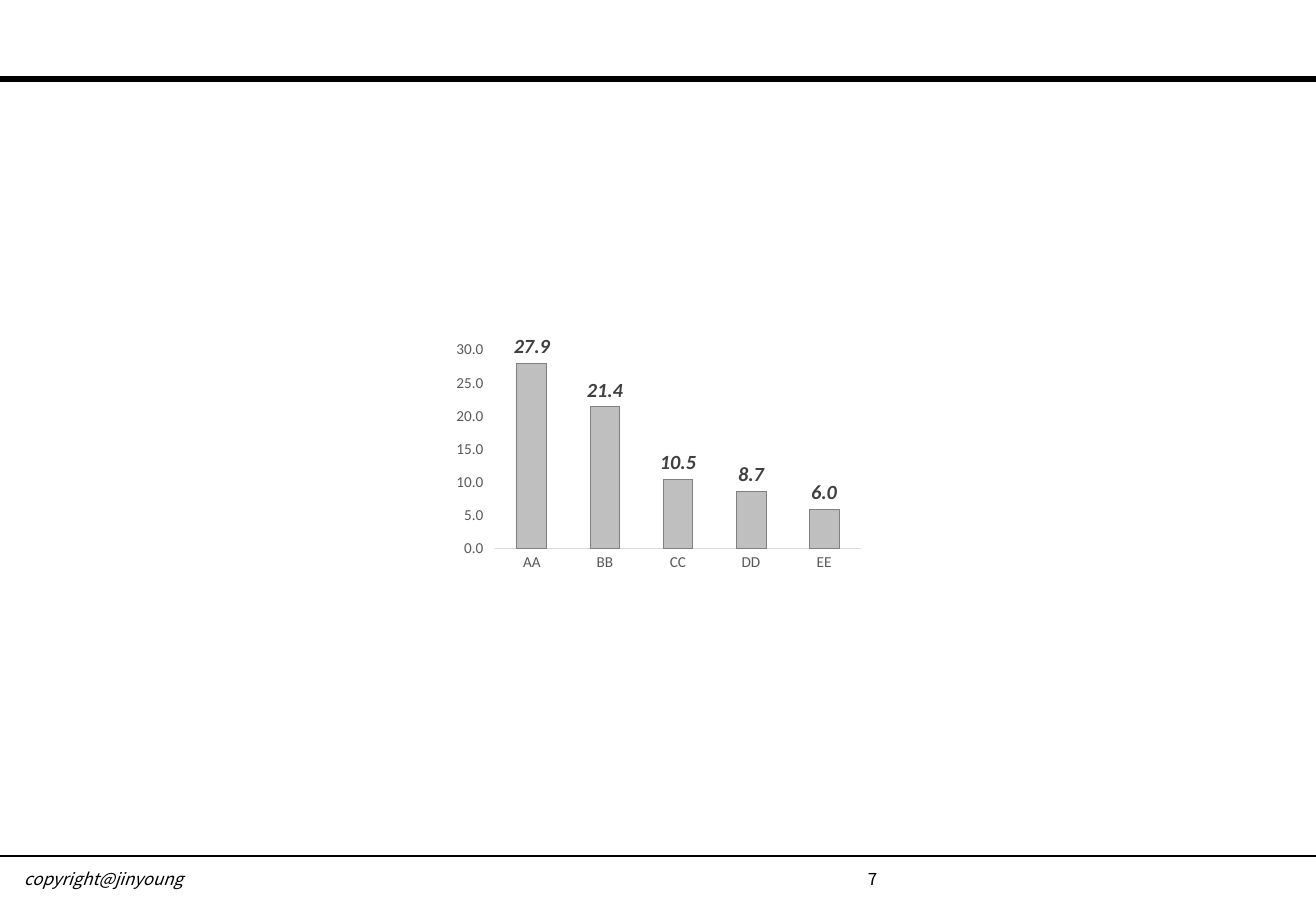
import lxml.etree
import pptx
import pptx.chart.data
import pptx.dml.color
import pptx.enum.chart
import pptx.enum.shapes
import pptx.oxml.ns
import pptx.util

PX = 914400 / 121.5
WIDTH, HEIGHT = 1316, 911
BLACK = pptx.dml.color.RGBColor(0x00, 0x00, 0x00)
WHITE = pptx.dml.color.RGBColor(0xFF, 0xFF, 0xFF)
BAR_FILL = pptx.dml.color.RGBColor(0xBF, 0xBF, 0xBF)
BAR_EDGE = pptx.dml.color.RGBColor(0x80, 0x80, 0x80)
AXIS_LINE = pptx.dml.color.RGBColor(0xD9, 0xD9, 0xD9)
AXIS_TEXT = pptx.dml.color.RGBColor(0x59, 0x59, 0x59)
LABEL_TEXT = pptx.dml.color.RGBColor(0x40, 0x40, 0x40)
BODY_FONT = "Noto Sans CJK KR"
CHART_FONT = "Calibri"


def px(length):
    """Turn whole pixels into EMU."""
    return pptx.util.Emu(round(length * PX))


def style_font(font, name=CHART_FONT, size=10, color=BLACK, bold=False, italic=False):
    """Apply one text format to a font."""
    font.name = name
    font.size = pptx.util.Pt(size)
    font.bold = bold
    font.italic = italic
    font.color.rgb = color


def add_text(paragraph, text, **text_format):
    """Append formatted text to a paragraph."""
    run = paragraph.add_run()
    run.text = text
    style_font(run.font, **text_format)


def add_rule(slide, y, weight):
    """Draw a black line across the whole slide."""
    rule = slide.shapes.add_connector(
        pptx.enum.shapes.MSO_CONNECTOR.STRAIGHT, 0, px(y), px(WIDTH), px(y))
    rule.line.color.rgb = BLACK
    rule.line.width = pptx.util.Pt(weight)
    lxml.etree.SubElement(rule.element.spPr, pptx.oxml.ns.qn("a:effectLst"))


def add_footer(slide, left, top, width, height):
    """Place the copyright line and the page number on one tabbed line."""
    frame = slide.shapes.add_textbox(px(left), px(top), px(width), px(height)).text_frame
    frame.word_wrap = True
    line = frame.paragraphs[0]
    tabs = lxml.etree.SubElement(
        line._p.get_or_add_pPr(), pptx.oxml.ns.qn("a:tabLst"))
    lxml.etree.SubElement(
        tabs, pptx.oxml.ns.qn("a:tab"), pos=str(px(844)), algn="l")
    add_text(line, "copyright@jinyoung", name=BODY_FONT, italic=True)
    add_text(line, "\t7", name=BODY_FONT)


def add_bar_chart(slide, left, top, width, height):
    """Place the column chart with its value labels."""
    chart_data = pptx.chart.data.CategoryChartData(number_format="0.0")
    chart_data.categories = ["AA", "BB", "CC", "DD", "EE"]
    chart_data.add_series("Series 1", (27.9, 21.4, 10.5, 8.7, 6.0))
    chart = slide.shapes.add_chart(
        pptx.enum.chart.XL_CHART_TYPE.COLUMN_CLUSTERED,
        px(left), px(top), px(width), px(height), chart_data).chart
    chart.has_legend = False
    chart.has_title = False
    style_font(chart.font)

    for axis in (chart.category_axis, chart.value_axis):
        axis.has_major_gridlines = False
        style_font(axis.tick_labels.font, size=9, color=AXIS_TEXT)
    categories, values = chart.category_axis, chart.value_axis
    categories.major_tick_mark = pptx.enum.chart.XL_TICK_MARK.NONE
    categories.format.line.color.rgb = AXIS_LINE
    categories.format.line.width = pptx.util.Pt(0.75)
    values.major_tick_mark = pptx.enum.chart.XL_TICK_MARK.OUTSIDE
    values.format.line.fill.background()
    values.minimum_scale, values.maximum_scale, values.major_unit = 0, 30, 5
    values.tick_labels.number_format = "0.0"
    values.tick_labels.number_format_is_linked = False

    plot = chart.plots[0]
    plot.vary_by_categories = False
    plot.gap_width = 144
    plot.overlap = -27
    bars = plot.series[0]
    bars.format.fill.solid()
    bars.format.fill.fore_color.rgb = BAR_FILL
    bars.format.line.color.rgb = BAR_EDGE
    bars.format.line.width = pptx.util.Pt(0.5)
    labels = bars.data_labels
    labels.show_value = True
    labels.position = pptx.enum.chart.XL_LABEL_POSITION.OUTSIDE_END
    labels.number_format = "0.0"
    labels.number_format_is_linked = False
    style_font(labels.font, size=12, color=LABEL_TEXT, bold=True, italic=True)


def main():
    """Build the slide and save it."""
    deck = pptx.Presentation()
    deck.slide_width, deck.slide_height = px(WIDTH), px(HEIGHT)
    slide = deck.slides.add_slide(deck.slide_layouts[6])
    slide.background.fill.solid()
    slide.background.fill.fore_color.rgb = WHITE
    add_rule(slide, 79, 3.5)
    add_rule(slide, 856, 1)
    add_footer(slide, 12, 863, 1282, 53)
    add_bar_chart(slide, 448, 335, 421, 241)
    deck.save("out.pptx")


if __name__ == "__main__":
    main()
